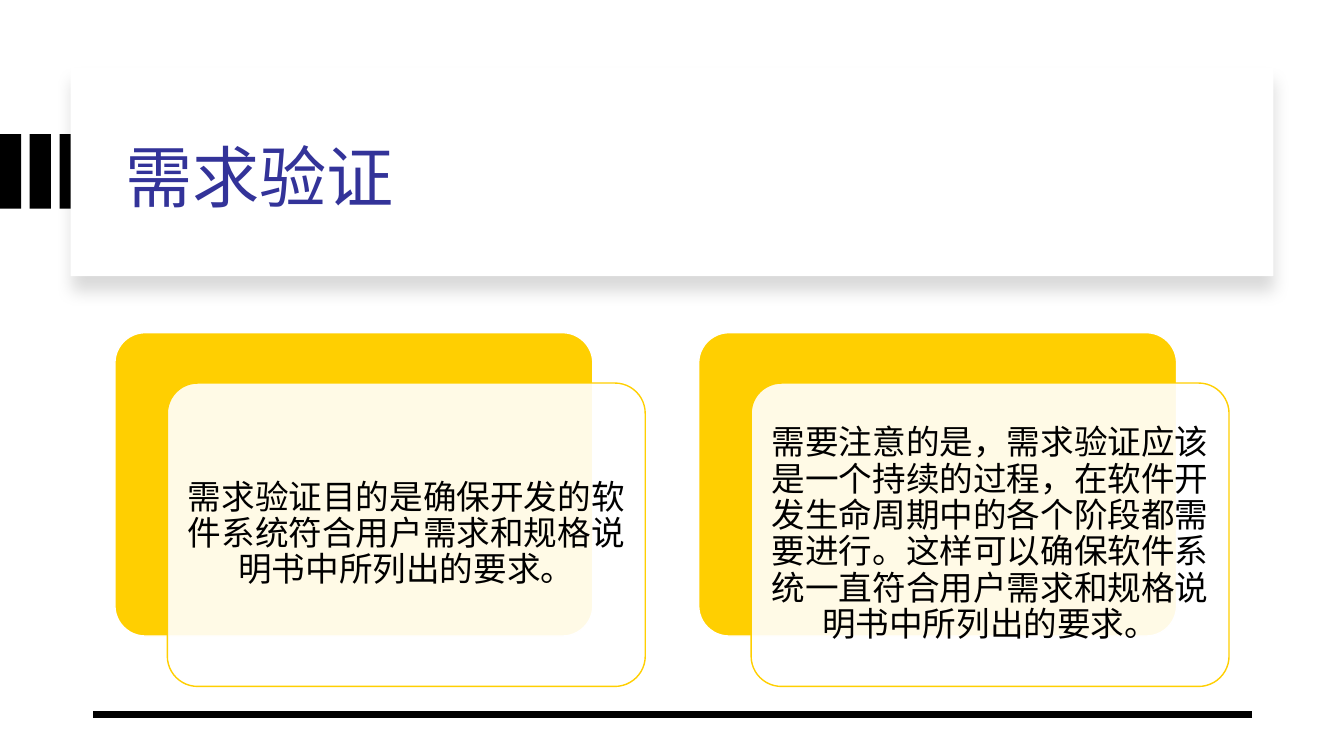
from dataclasses import dataclass

from lxml.etree import SubElement
from pptx import Presentation
from pptx.dml.color import RGBColor
from pptx.enum.shapes import MSO_CONNECTOR, MSO_SHAPE
from pptx.enum.text import MSO_ANCHOR, MSO_AUTO_SIZE, PP_ALIGN
from pptx.oxml.ns import qn
from pptx.shapes.autoshape import Shape
from pptx.slide import Slide
from pptx.text.text import TextFrame
from pptx.util import Inches, Pt


@dataclass(frozen=True)
class Theme:
    font: str = "Cabin"
    ink: str = "000000"
    paper: str = "FFFFFF"
    heading: str = "333399"
    accent: str = "FFCF01"
    title_size: int = 48
    body_size: int = 24
    outline: float = 1
    rule: float = 4.5
    panel_opacity: int = 90


@dataclass(frozen=True)
class Area:
    left: float
    top: float
    width: float
    height: float

    def moved(self, right: float, down: float) -> "Area":
        return Area(self.left + right, self.top + down, self.width, self.height)

    def inset(self, margin: float) -> "Area":
        return Area(self.left + margin, self.top + margin,
                    self.width - 2 * margin, self.height - 2 * margin)

    def lengths(self) -> tuple[int, ...]:
        return tuple(Inches(n) for n in (self.left, self.top, self.width, self.height))


@dataclass(frozen=True)
class Card:
    column: int
    text: str


THEME = Theme()
SLIDE_WIDTH, SLIDE_HEIGHT = 13.33, 7.5
BAR = Area(0, 1.33, 0.21, 0.74)
BAR_COUNT, BAR_PITCH = 3, 0.295
BANNER = Area(0.7, 0.67, 11.93, 2.07)
TITLE = Area(1.14, 0.89, 11.13, 1.7)
RULE_LEFT, RULE_RIGHT, RULE_TOP = 0.92, 12.42, 7.09
CARD = Area(1.14, 3.3, 4.74, 3.01)
CARD_PITCH = 5.79
PANEL_RIGHT, PANEL_DOWN = 0.52, 0.5
PANEL_MARGIN = 0.09
CARDS = (
    Card(0, "需求验证目的是确保开发的软件系统符合用户需求和规格说明书中所列出的要求。"),
    Card(1, "需要注意的是，需求验证应该是一个持续的过程，在软件开发生命周期中的各个阶段都需要进行。"
            "这样可以确保软件系统一直符合用户需求和规格说明书中所列出的要求。"),
)


def color(value: str) -> RGBColor:
    return RGBColor.from_string(value)


def add_block(page: Slide, preset: MSO_SHAPE, area: Area, fill: str,
              outline: str | None = None) -> Shape:
    block = page.shapes.add_shape(preset, *area.lengths())
    block.shadow.inherit = False
    block.fill.solid()
    block.fill.fore_color.rgb = color(fill)
    if outline is None:
        block.line.fill.background()
    else:
        block.line.color.rgb = color(outline)
        block.line.width = Pt(THEME.outline)
    if preset == MSO_SHAPE.ROUNDED_RECTANGLE:
        block.adjustments[0] = 0.1
    return block


def set_opacity(block: Shape, percent: int) -> None:
    fill_color = block.element.spPr.find(qn("a:solidFill"))[0]
    SubElement(fill_color, qn("a:alpha"), val=str(percent * 1000))


def add_soft_shadow(block: Shape) -> None:
    effects = block.element.spPr.find(qn("a:effectLst"))
    shadow = SubElement(effects, qn("a:outerShdw"), blurRad=str(Pt(11)),
                        dist=str(Pt(10)), dir="5400000", algn="t", rotWithShape="0")
    shade = SubElement(shadow, qn("a:srgbClr"), val=THEME.ink)
    SubElement(shade, qn("a:alpha"), val="15000")


def write(frame: TextFrame, text: str, size: int, ink: str, align: PP_ALIGN) -> None:
    frame.text = text
    frame.word_wrap = True
    frame.auto_size = MSO_AUTO_SIZE.NONE
    frame.vertical_anchor = MSO_ANCHOR.MIDDLE
    for para in frame.paragraphs:
        para.alignment = align
        for span in para.runs:
            span.font.name = THEME.font
            span.font.size = Pt(size)
            span.font.color.rgb = color(ink)


def add_header(page: Slide) -> None:
    for index in range(BAR_COUNT):
        add_block(page, MSO_SHAPE.RECTANGLE, BAR.moved(index * BAR_PITCH, 0), THEME.ink)
    banner = add_block(page, MSO_SHAPE.RECTANGLE, BANNER, THEME.paper)
    add_soft_shadow(banner)
    title = page.shapes.title
    title.left, title.top, title.width, title.height = TITLE.lengths()
    write(title.text_frame, "需求验证", THEME.title_size, THEME.heading, PP_ALIGN.LEFT)
    banner.element.addnext(title.element)


def add_rule(page: Slide) -> None:
    rule = page.shapes.add_connector(
        MSO_CONNECTOR.STRAIGHT, Inches(RULE_RIGHT), Inches(RULE_TOP),
        Inches(RULE_LEFT), Inches(RULE_TOP))
    rule.line.color.rgb = color(THEME.ink)
    rule.line.width = Pt(THEME.rule)
    SubElement(rule.element.spPr, qn("a:effectLst"))


def add_card(page: Slide, card: Card) -> None:
    backing = CARD.moved(card.column * CARD_PITCH, 0)
    panel_area = backing.moved(PANEL_RIGHT, PANEL_DOWN)
    add_block(page, MSO_SHAPE.ROUNDED_RECTANGLE, backing, THEME.accent, THEME.paper)
    panel = add_block(page, MSO_SHAPE.ROUNDED_RECTANGLE, panel_area,
                      THEME.paper, THEME.accent)
    set_opacity(panel, THEME.panel_opacity)
    box = page.shapes.add_textbox(*panel_area.inset(PANEL_MARGIN).lengths())
    frame = box.text_frame
    write(frame, card.text, THEME.body_size, THEME.ink, PP_ALIGN.CENTER)
    frame.margin_left = frame.margin_right = Inches(0.1)
    frame.margin_top = frame.margin_bottom = Inches(0.1)
    frame.paragraphs[0].line_spacing = 0.9


deck = Presentation()
deck.slide_width, deck.slide_height = Inches(SLIDE_WIDTH), Inches(SLIDE_HEIGHT)
page = deck.slides.add_slide(deck.slide_layouts.get_by_name("Title Only"))
add_header(page)
add_rule(page)
for card in CARDS:
    add_card(page, card)
deck.save("out.pptx")
